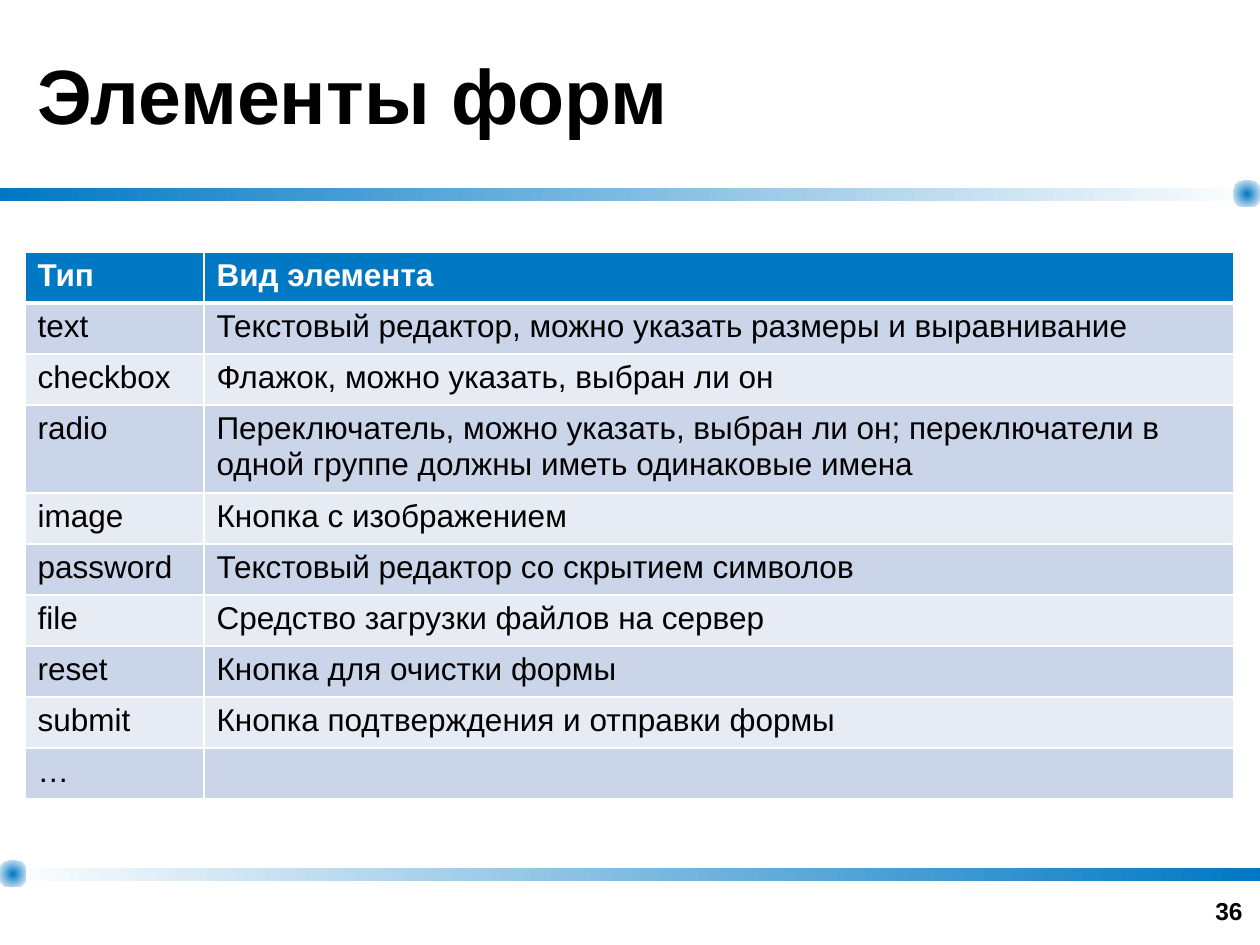
"""Build the slide listing HTML form element types."""
from pptx import Presentation
from pptx.dml.color import RGBColor
from pptx.enum.shapes import MSO_SHAPE as SHAPE
from pptx.enum.text import MSO_ANCHOR as ANCHOR, PP_ALIGN as ALIGN
from pptx.oxml.ns import qn
from pptx.util import Emu, Pt
from lxml.etree import SubElement

BLUE = RGBColor(0x00, 0x78, 0xC3)
WHITE = RGBColor(0xFF, 0xFF, 0xFF)
BLACK = RGBColor(0x00, 0x00, 0x00)
BANDS = (RGBColor(0xE6, 0xEB, 0xF4), RGBColor(0xCA, 0xD5, 0xE9))
FONT = "Arial"
WIDTH, HEIGHT = 1260, 945
COLUMNS = (179, 1030)
ROW, TALL_ROW = 51, 88
ROWS = (
    ("Тип", "Вид элемента"),
    ("text", "Текстовый редактор, можно указать размеры и выравнивание"),
    ("checkbox", "Флажок, можно указать, выбран ли он"),
    ("radio", "Переключатель, можно указать, выбран ли он; переключатели в "
              "одной группе должны иметь одинаковые имена"),
    ("image", "Кнопка с изображением"),
    ("password", "Текстовый редактор со скрытием символов"),
    ("file", "Средство загрузки файлов на сервер"),
    ("reset", "Кнопка для очистки формы"),
    ("submit", "Кнопка подтверждения и отправки формы"),
    ("…", ""),
)


def px(n):
    """Turn pixels into EMU at 126 pixels to the inch."""
    return Emu(round(n * 914400 / 126))


def add_run(p, text, size, color=BLACK, bold=True):
    """Add one formatted run to a paragraph."""
    r = p.add_run()
    r.text = text
    r.font.name, r.font.size, r.font.bold = FONT, Pt(size), bold
    r.font.color.rgb = color


def add_gradient(slide, kind, box, colors):
    """Add a borderless shape with a left-to-right gradient."""
    sp = slide.shapes.add_shape(kind, *map(px, box))
    sp.shadow.inherit = False
    sp.line.fill.background()
    sp.fill.gradient()
    sp.fill.gradient_angle = 0
    for stop, color, position in zip(sp.fill.gradient_stops, colors, (0, 1)):
        stop.color.rgb = color
        stop.position = position
    return sp


def add_knob(slide, x, y):
    """Add a rounded square whose gradient radiates from its centre."""
    sp = add_gradient(slide, SHAPE.ROUNDED_RECTANGLE, (x, y, 26, 26), (BLUE, WHITE))
    sp.adjustments[0] = 0.32
    grad = sp._element.spPr.find(qn("a:gradFill"))
    grad.remove(grad.find(qn("a:lin")))
    radial = SubElement(grad, qn("a:path"), path="circle")
    SubElement(radial, qn("a:fillToRect"), dict.fromkeys("ltrb", "50000"))


def set_borders(cell, header):
    """Draw white cell borders, with a thick line below the header."""
    pr = cell._tc.get_or_add_tcPr()
    widths = {"lnL": 1, "lnR": 1, "lnT": 1, "lnB": 3 if header else 1}
    for i, (side, width) in enumerate(widths.items()):
        ln = pr.makeelement(qn("a:" + side), {"w": str(Pt(width))})
        fill = SubElement(ln, qn("a:solidFill"))
        SubElement(fill, qn("a:srgbClr"), val=str(WHITE))
        pr.insert(i, ln)


def add_types_table(slide, x, y):
    """Add the banded table of element types."""
    heights = [TALL_ROW if row[0] == "radio" else ROW for row in ROWS]
    box = map(px, (x, y, sum(COLUMNS), sum(heights)))
    table = slide.shapes.add_table(len(ROWS), len(COLUMNS), *box).table
    for column, width in zip(table.columns, COLUMNS):
        column.width = px(width)
    for i, (row, height) in enumerate(zip(ROWS, heights)):
        table.rows[i].height = px(height)
        header = i == 0
        for j, text in enumerate(row):
            cell = table.cell(i, j)
            cell.fill.solid()
            cell.fill.fore_color.rgb = BLUE if header else BANDS[i % 2]
            set_borders(cell, header)
            if text:
                add_run(cell.text_frame.paragraphs[0], text, 18,
                        WHITE if header else BLACK, header)


def set_title(slide, text):
    """Place and fill the title placeholder."""
    sp = slide.shapes.title
    sp.left, sp.top, sp.width, sp.height = map(px, (25, 0, 1210, 188))
    tf = sp.text_frame
    tf.vertical_anchor = ANCHOR.MIDDLE
    p = tf.paragraphs[0]
    p.alignment = ALIGN.LEFT
    add_run(p, text, 44)


def add_page_number(slide, text):
    """Add the page number at the bottom right."""
    tf = slide.shapes.add_textbox(*map(px, (961, 869, 294, 63))).text_frame
    tf.word_wrap = True
    tf.vertical_anchor = ANCHOR.BOTTOM
    p = tf.paragraphs[0]
    p.alignment = ALIGN.RIGHT
    add_run(p, text, 14)


def main():
    """Build and save the slide."""
    prs = Presentation()
    prs.slide_width, prs.slide_height = px(WIDTH), px(HEIGHT)
    slide = prs.slides.add_slide(prs.slide_layouts[5])
    add_gradient(slide, SHAPE.RECTANGLE, (0, 188, WIDTH, 13), (BLUE, WHITE))
    add_gradient(slide, SHAPE.RECTANGLE, (0, 868, WIDTH, 13), (WHITE, BLUE))
    add_knob(slide, WIDTH - 26, 181)
    add_knob(slide, 0, 861)
    set_title(slide, "Элементы форм")
    add_types_table(slide, 25, 252)
    add_page_number(slide, "36")
    prs.save("out.pptx")


if __name__ == "__main__":
    main()
